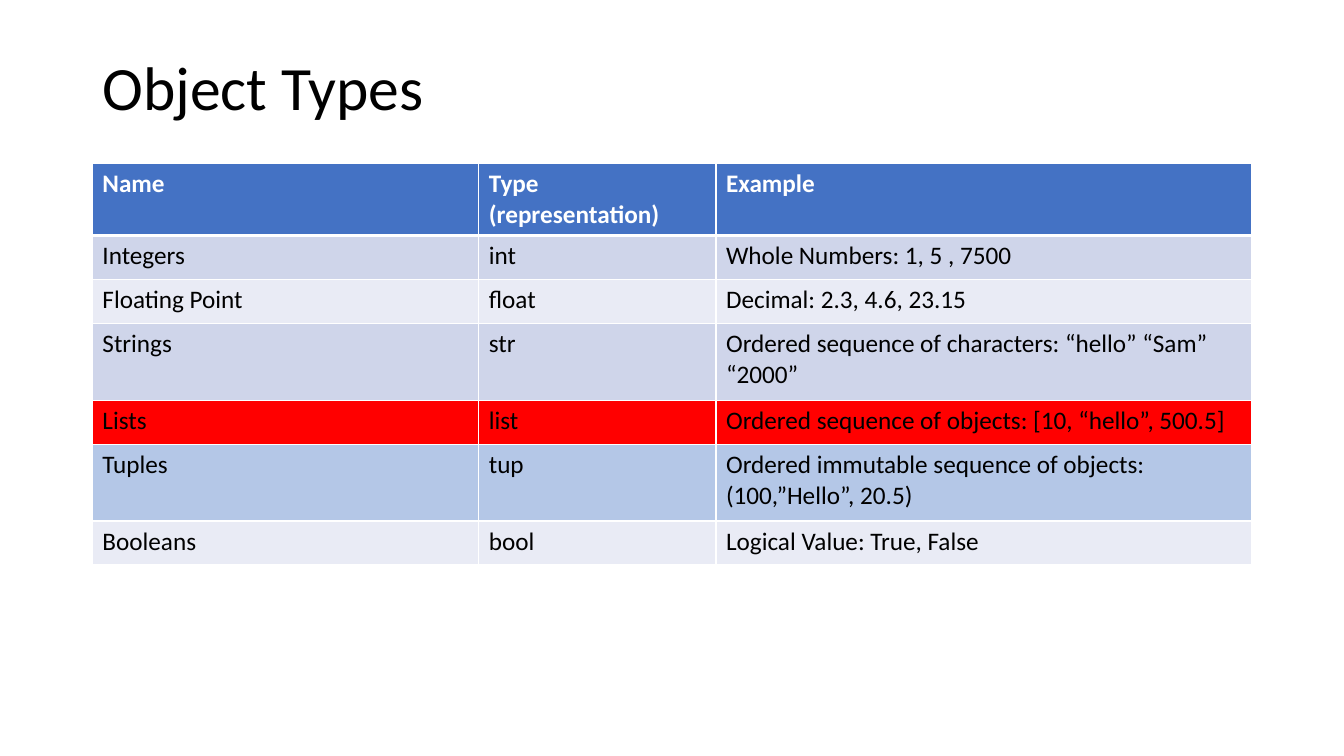
from dataclasses import dataclass

from lxml import etree
from pptx import Presentation
from pptx.dml.color import RGBColor
from pptx.enum.text import MSO_ANCHOR, PP_ALIGN
from pptx.oxml.ns import qn
from pptx.util import Pt

MIDDLE, TOP, LEFT = MSO_ANCHOR.MIDDLE, MSO_ANCHOR.TOP, PP_ALIGN.LEFT
EMU_PER_PX = 9525
TITLE_ONLY = 5


@dataclass(frozen=True)
class Theme:
    font: str = "Calibri"
    title_size: int = 44
    table_size: int = 18
    black: str = "000000"
    white: str = "FFFFFF"
    header: str = "4472C4"
    band_dark: str = "CFD5EA"
    band_light: str = "E9EBF5"
    red: str = "FF0000"
    blue: str = "B4C7E7"
    border: int = 1
    header_border: int = 3


THEME = Theme()
TITLE_BOX = (88, 38, 1104, 96)
TABLE_BOX = (88, 156, 1104, 381)
COLUMN_WIDTHS = (368, 226, 510)
HEADER_HEIGHT, LINE_HEIGHT, TWO_LINE_HEIGHT = 67, 42, 73

# Each row: height, fill, cell texts
ROWS = [
    (HEADER_HEIGHT, THEME.header, ("Name", "Type (representation)", "Example")),
    (LINE_HEIGHT, THEME.band_dark, ("Integers", "int", "Whole Numbers: 1, 5 , 7500")),
    (LINE_HEIGHT, THEME.band_light, ("Floating Point", "float", "Decimal: 2.3, 4.6, 23.15")),
    (TWO_LINE_HEIGHT, THEME.band_dark,
     ("Strings", "str", "Ordered sequence of characters: “hello” “Sam” “2000”")),
    (LINE_HEIGHT, THEME.red,
     ("Lists", "list", "Ordered sequence of objects: [10, “hello”, 500.5]")),
    (TWO_LINE_HEIGHT, THEME.blue,
     ("Tuples", "tup", "Ordered immutable sequence of objects: (100,”Hello”, 20.5)")),
    (LINE_HEIGHT, THEME.band_light, ("Booleans", "bool", "Logical Value: True, False")),
]


def px(length):
    return length * EMU_PER_PX


def format_font(font, color, **values):
    for name, value in {"name": THEME.font, **values}.items():
        setattr(font, name, value)
    font.color.rgb = RGBColor.from_string(color)


def add_borders(cell, widths):
    """Draw white lines on the cell sides; widths maps side to points."""
    properties = cell._tc.get_or_add_tcPr()
    for side, width in widths.items():
        line = etree.SubElement(properties, qn(f"a:ln{side}"), w=str(Pt(width)))
        fill = etree.SubElement(line, qn("a:solidFill"))
        etree.SubElement(fill, qn("a:srgbClr"), val=THEME.white)


def add_title(slide, box, text):
    title = slide.shapes.title
    title.left, title.top, title.width, title.height = map(px, box)
    title.text_frame.text = text
    title.text_frame.vertical_anchor = MIDDLE
    paragraph = title.text_frame.paragraphs[0]
    paragraph.alignment = LEFT
    paragraph.line_spacing = 0.9
    format_font(paragraph.font, THEME.black, size=Pt(THEME.title_size), bold=False)


def fill_cell(cell, text, fill, row_index):
    is_header = row_index == 0
    # The thick line under the header is shared with the first body row
    widths = {"L": THEME.border, "R": THEME.border,
              "T": THEME.header_border if row_index == 1 else THEME.border,
              "B": THEME.header_border if is_header else THEME.border}
    add_borders(cell, widths)
    cell.fill.solid()
    cell.fill.fore_color.rgb = RGBColor.from_string(fill)
    cell.vertical_anchor = TOP
    cell.text = text
    format_font(cell.text_frame.paragraphs[0].runs[0].font,
                THEME.white if is_header else THEME.black,
                size=Pt(THEME.table_size), bold=is_header)


def add_types_table(slide, box):
    frame = slide.shapes.add_table(len(ROWS), len(COLUMN_WIDTHS), *map(px, box))
    table = frame.table
    for column, width in zip(table.columns, COLUMN_WIDTHS):
        column.width = px(width)
    for row_index, (height, fill, texts) in enumerate(ROWS):
        row = table.rows[row_index]
        row.height = px(height)
        for cell, text in zip(row.cells, texts):
            fill_cell(cell, text, fill, row_index)


def main():
    presentation = Presentation()
    presentation.slide_width, presentation.slide_height = px(1280), px(720)
    slide = presentation.slides.add_slide(presentation.slide_layouts[TITLE_ONLY])
    add_title(slide, TITLE_BOX, "Object Types")
    add_types_table(slide, TABLE_BOX)
    presentation.save("out.pptx")


if __name__ == "__main__":
    main()
